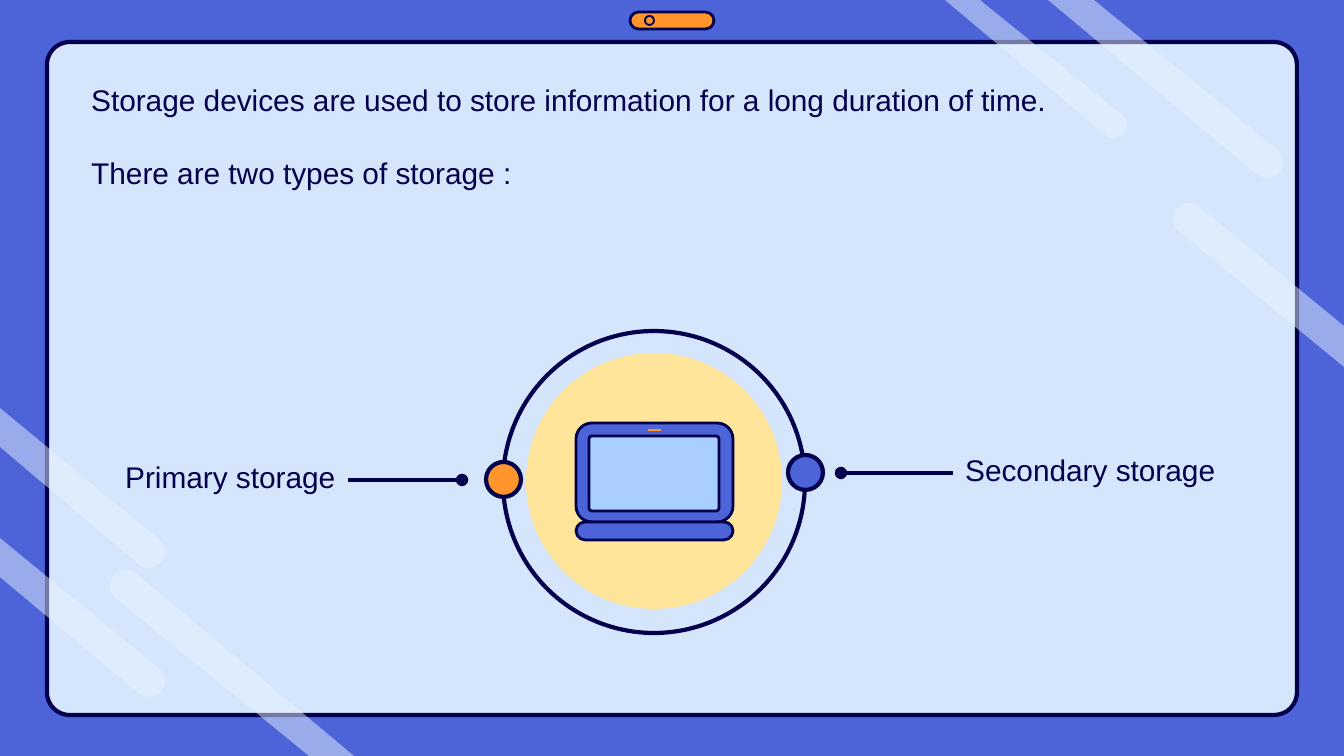
import math

from lxml import etree
from pptx import Presentation
from pptx.dml.color import RGBColor
from pptx.enum.shapes import MSO_CONNECTOR, MSO_SHAPE
from pptx.oxml.ns import qn
from pptx.util import Emu, Pt

STRAIGHT = MSO_CONNECTOR.STRAIGHT
OVAL = MSO_SHAPE.OVAL
ROUNDED = MSO_SHAPE.ROUNDED_RECTANGLE

PX_PER_INCH = 134.4
SLIDE_WIDTH, SLIDE_HEIGHT = 1344, 756
BLANK_LAYOUT = 6
FONT = "Arial"
FONT_SIZE = Pt(16)
PARAGRAPH_GAP = Pt(20)
STREAK_ANGLE = 40
STREAK_ALPHA = 50
CAP_STEP = 10

NAVY = RGBColor(0x00, 0x00, 0x4D)
BLUE = RGBColor(0x4C, 0x64, 0xD8)
PANEL = RGBColor(0xD5, 0xE6, 0xFC)
STREAK = RGBColor(0xE9, 0xF3, 0xFF)
ORANGE = RGBColor(0xFF, 0x95, 0x2B)
YELLOW = RGBColor(0xFF, 0xE5, 0x99)
SCREEN = RGBColor(0xA8, 0xCF, 0xFF)

# Cap centre, cap radius, direction, and the two points at the slide edge
STREAKS = [
    ((1267, 162), 16, STREAK_ANGLE, (1094, 0), (1048, 0)),
    ((1114, 125), 13, STREAK_ANGLE, (980, 0), (945, 0)),
    ((126, 586), 16, STREAK_ANGLE + 180, (309, 756), (354, 756)),
    ((149, 681), 16, STREAK_ANGLE, (0, 538), (0, 577)),
    ((149, 552), 16, STREAK_ANGLE, (0, 408), (0, 447)),
    ((1189, 219), 16, STREAK_ANGLE + 180, (1344, 367), (1344, 326)),
]


def px(length):
    """Turn pixels into EMU."""
    return Emu(round(length * 914400 / PX_PER_INCH))


def add_figure(slide, kind, box, fill=None, line_width=None, corner=None):
    """Add a flat preset shape with an optional navy outline."""
    shape = slide.shapes.add_shape(kind, *map(px, box))
    shape.shadow.inherit = False
    if corner is not None:
        shape.adjustments[0] = corner
    if fill is None:
        shape.fill.background()
    else:
        shape.fill.solid()
        shape.fill.fore_color.rgb = fill
    if line_width is None:
        shape.line.fill.background()
    else:
        shape.line.color.rgb = NAVY
        shape.line.width = Pt(line_width)
    return shape


def add_streak(slide, center, radius, direction, start, end):
    """Add a translucent bar from the slide edge to a round cap."""
    cap = []
    for angle in range(direction - 90, direction + 91, CAP_STEP):
        turn = math.radians(angle)
        cap.append((px(center[0] + radius * math.cos(turn)),
                    px(center[1] + radius * math.sin(turn))))
    builder = slide.shapes.build_freeform(px(start[0]), px(start[1]))
    builder.add_line_segments(cap + [(px(end[0]), px(end[1]))], close=True)
    shape = builder.convert_to_shape()
    shape.shadow.inherit = False
    shape.line.fill.background()
    shape.fill.solid()
    shape.fill.fore_color.rgb = STREAK
    color = shape.fill._xPr.find(qn("a:solidFill"))[0]
    etree.SubElement(color, qn("a:alpha"), val=str(STREAK_ALPHA * 1000))


def add_line(slide, start, end, color, width, dotted_end=False):
    """Add a straight line, with an oval at its end if asked."""
    connector = slide.shapes.add_connector(STRAIGHT, *map(px, start + end))
    connector.line.color.rgb = color
    connector.line.width = Pt(width)
    if dotted_end:
        line = connector.line._get_or_add_ln()
        etree.SubElement(line, qn("a:tailEnd"), type="oval")
    etree.SubElement(connector._element.spPr, qn("a:effectLst"))


def add_text(slide, box, lines):
    """Add a wrapped text box with one paragraph per line."""
    frame = slide.shapes.add_textbox(*map(px, box)).text_frame
    frame.word_wrap = True
    for index, text in enumerate(lines):
        paragraph = frame.add_paragraph() if index else frame.paragraphs[0]
        paragraph.text = text
        paragraph.font.name = FONT
        paragraph.font.size = FONT_SIZE
        paragraph.font.color.rgb = NAVY
        if index:
            paragraph.space_before = PARAGRAPH_GAP


def add_backdrop(slide):
    """Add the tablet panel, its streaks and the pill on top."""
    slide.background.fill.solid()
    slide.background.fill.fore_color.rgb = BLUE
    add_figure(slide, ROUNDED, (47, 42, 1250, 673), PANEL, 2.25, 0.034)
    for streak in STREAKS:
        add_streak(slide, *streak)
    add_figure(slide, ROUNDED, (630, 12, 84, 17), ORANGE, 1.5, 0.5)
    add_figure(slide, OVAL, (645, 16, 9, 9), None, 1)


def add_laptop(slide):
    """Add the laptop on its yellow disc inside the ring."""
    add_figure(slide, OVAL, (526, 353, 256, 256), YELLOW)
    add_figure(slide, OVAL, (503, 331, 302, 302), None, 2.25)
    add_figure(slide, ROUNDED, (576, 423, 157, 99), BLUE, 1.5, 0.16)
    add_figure(slide, ROUNDED, (589, 436, 130, 75), SCREEN, 1.5, 0.04)
    add_line(slide, (648, 430), (661, 430), ORANGE, 0.75)
    add_figure(slide, ROUNDED, (576, 522, 157, 18), BLUE, 1.5, 0.5)


def add_branch(slide, label, label_box, line_start, line_end, dot_left, color):
    """Add a storage type: dot on the ring, pointer and label."""
    y = line_start[1]
    add_figure(slide, OVAL, (dot_left, y - 18, 35, 35), color, 2.25)
    add_line(slide, line_start, line_end, NAVY, 2.25, dotted_end=True)
    add_text(slide, label_box, [label])


def main():
    """Build the storage devices slide."""
    presentation = Presentation()
    presentation.slide_width = px(SLIDE_WIDTH)
    presentation.slide_height = px(SLIDE_HEIGHT)
    layout = presentation.slide_layouts[BLANK_LAYOUT]
    slide = presentation.slides.add_slide(layout)
    add_backdrop(slide)
    add_text(slide, (78, 75, 1098, 159), [
        "Storage devices are used to store information for a long duration of time.",
        "There are two types of storage :",
    ])
    add_laptop(slide)
    add_branch(slide, "Primary storage", (112, 452, 292, 50),
               (348, 480), (462, 480), 486, ORANGE)
    add_branch(slide, "Secondary storage", (952, 445, 347, 50),
               (953, 473), (841, 473), 788, BLUE)
    presentation.save("out.pptx")


if __name__ == "__main__":
    main()
